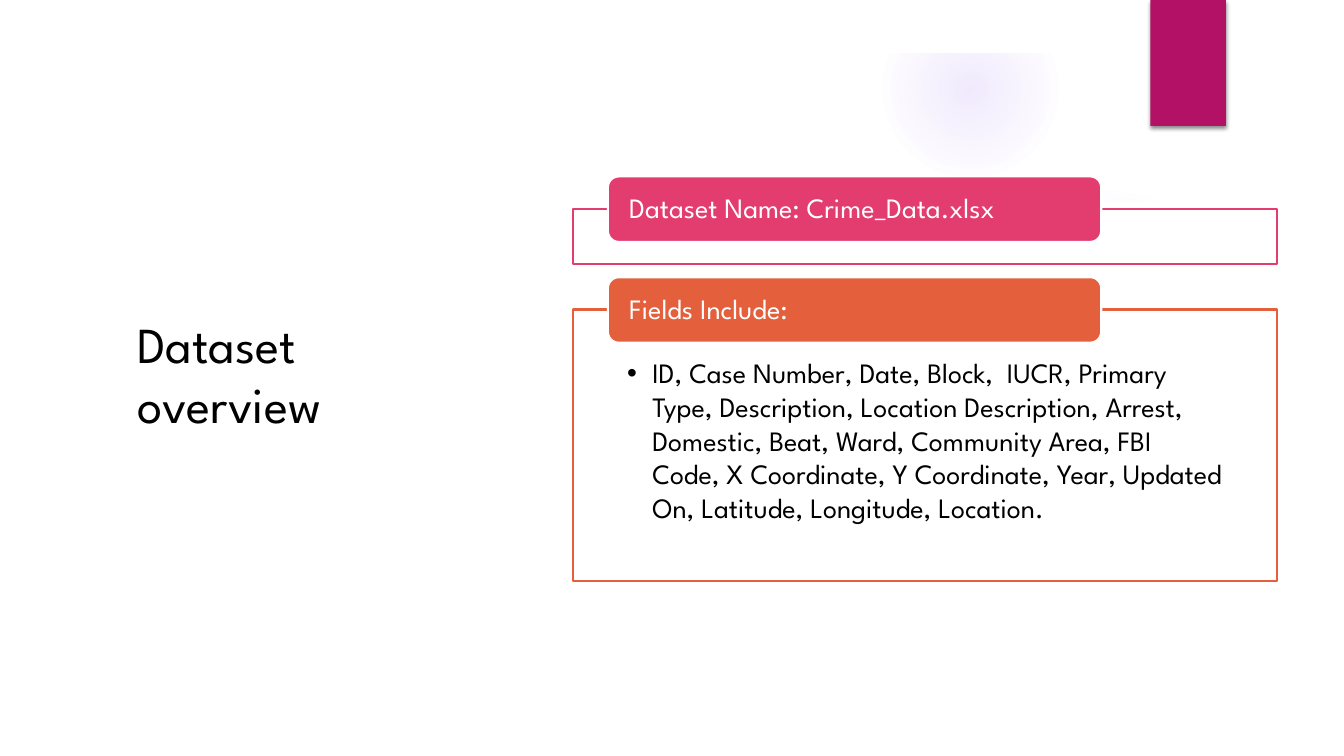
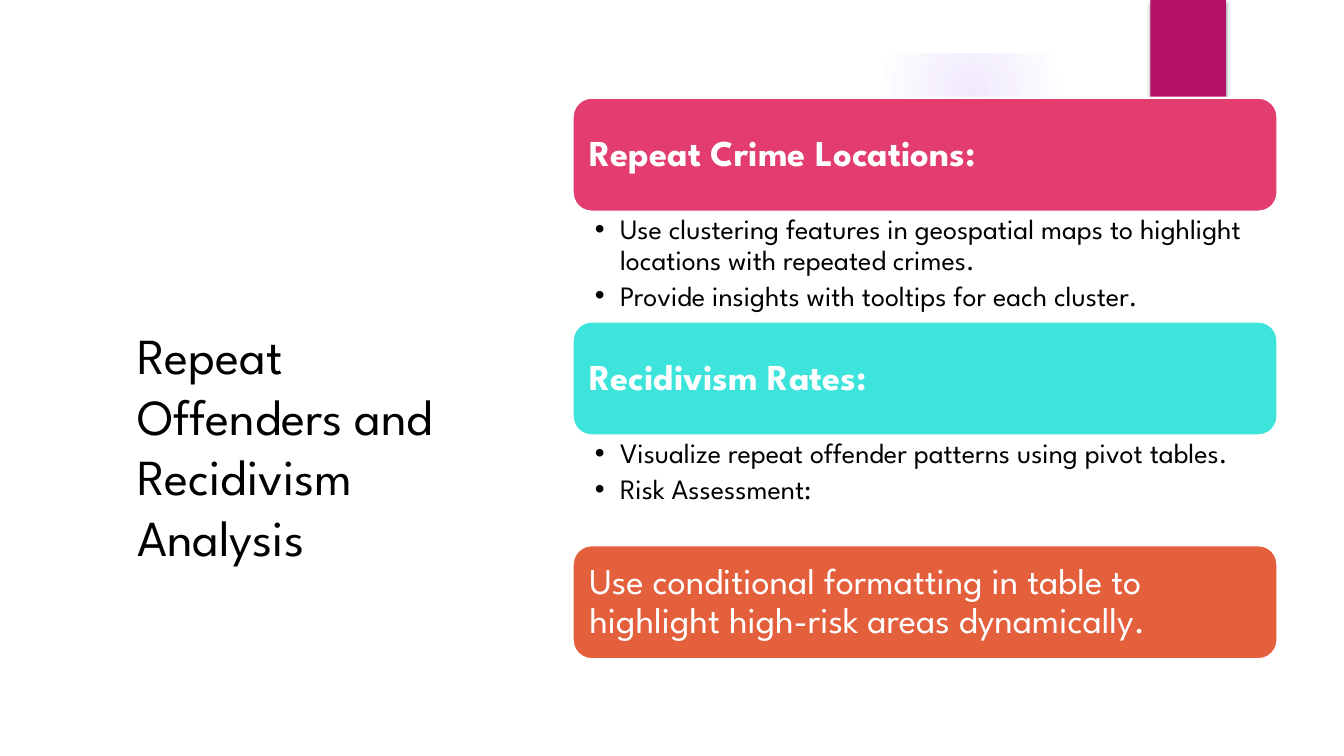
from lxml import etree
from pptx import Presentation
from pptx import util as u
from pptx.dml.color import RGBColor
from pptx.enum import shapes, text
from pptx.oxml.ns import qn

WIDTH, HEIGHT = 13.33, 7.5
FONT = "League Spartan"
WHITE, BLACK, PINK, ORANGE, TEAL = "FFFFFF", "000000", "E33D6F", "E45F3C", "3CE4DC"
GLOW, RIBBON = "9B6BF2", "B31166"
# Column shared by the content of both slides: left edge and width
COLUMN_LEFT, COLUMN_WIDTH = 5.68, 6.99
RECT, ROUND = shapes.MSO_SHAPE.RECTANGLE, shapes.MSO_SHAPE.ROUNDED_RECTANGLE


def colour(value):
    return RGBColor.from_string(value)


def add_child(parent, tag, **attributes):
    child = etree.SubElement(parent, qn(tag))
    for name, value in attributes.items():
        child.set(name, str(value))
    return child


def set_alpha(box, percent):
    tint = box.element.spPr.find(qn("a:solidFill"))[0]
    add_child(tint, "a:alpha", val=percent * 1000)


def paint(box, fill, line=None):
    box.shadow.inherit = False
    box.fill.solid()
    box.fill.fore_color.rgb = colour(fill)
    if line:
        box.line.color.rgb = colour(line)
        box.line.width = u.Pt(1.5)
    else:
        box.line.fill.background()


def place(box, area):
    box.left, box.top, box.width, box.height = [u.Inches(value) for value in area]


def add_box(page, kind, area, fill, line=None):
    box = page.shapes.add_shape(kind, *[u.Inches(value) for value in area])
    paint(box, fill, line)
    return box


def write(box, lines, size, tint, insets, anchor, spacing=1.0, bold=False, bullets=False):
    frame = box.text_frame
    frame.word_wrap = True
    frame.auto_size = text.MSO_AUTO_SIZE.NONE
    frame.vertical_anchor = anchor
    (frame.margin_left, frame.margin_top,
     frame.margin_right, frame.margin_bottom) = [u.Inches(value) for value in insets]
    frame.text = "\n".join(lines)
    for para in frame.paragraphs:
        para.alignment = text.PP_ALIGN.LEFT
        para.line_spacing = spacing
        para.space_before = u.Pt(0)
        para.font.name = FONT
        para.font.size = u.Pt(size)
        para.font.bold = bold
        para.font.color.rgb = colour(tint)
        if bullets:
            para.space_after = u.Pt(4)
            properties = para._p.get_or_add_pPr()
            properties.set("marL", str(u.Inches(0.25)))
            properties.set("indent", str(-u.Inches(0.25)))


# Background shared through the slide master
def add_glow(page, area, stops):
    glow = add_box(page, shapes.MSO_SHAPE.OVAL, area, GLOW)
    solid = glow.element.spPr.find(qn("a:solidFill"))
    gradient = etree.Element(qn("a:gradFill"))
    stop_list = add_child(gradient, "a:gsLst")
    for position, alpha in stops:
        stop = add_child(stop_list, "a:gs", pos=position * 1000)
        tint = add_child(stop, "a:srgbClr", val=GLOW)
        add_child(tint, "a:alpha", val=alpha * 1000)
    circle = etree.SubElement(gradient, qn("a:path"))
    circle.set("path", "circle")
    add_child(circle, "a:fillToRect", l=50000, t=50000, r=50000, b=50000)
    solid.getparent().replace(solid, gradient)
    return glow


def add_sheet(page):
    edge = [(0.5, 2.04), (1.59, 2.18), (2.83, 2.3), (4.44, 2.41), (6.07, 2.47),
            (7.6, 2.47), (9.21, 2.42), (10.6, 2.32), (11.72, 2.2), (12.84, 2.04)]
    outline = page.shapes.build_freeform(0.5, 7, u.Inches(1))
    outline.add_line_segments(edge + [(12.84, 7)], close=True)
    sheet = outline.convert_to_shape()
    paint(sheet, WHITE)
    return sheet


def add_ribbon(page):
    ribbon = add_box(page, RECT, (11.41, 0, 0.75, HEIGHT / 6), RIBBON)
    effects = ribbon.element.spPr.find(qn("a:effectLst"))
    shadow = add_child(effects, "a:outerShdw", blurRad=u.Pt(3), dist=u.Pt(2),
                       dir=5400000, algn="t", rotWithShape=0)
    add_child(add_child(shadow, "a:srgbClr", val=BLACK), "a:alpha", val=45000)
    return ribbon


def add_background(deck, page):
    large = add_glow(page, (9.41, 1.83, 3.08, 3.08), [(0, 7), (36, 6), (69, 0)])
    small = add_glow(page, (8.75, 0.01, 1.75, 1.75), [(0, 14), (36, 7), (73, 0)])
    sheet = add_sheet(page)
    border = add_box(page, shapes.MSO_SHAPE.FRAME, (0, 0, WIDTH, HEIGHT), WHITE)
    border.adjustments[0] = 0.07
    parts = [large, small, sheet, border, add_ribbon(page)]
    for number, part in enumerate(parts, 101):
        part.element.nvSpPr.cNvPr.set("id", str(number))
        deck.slide_master.shapes.element.append(part.element)


def add_title(page, words, top, height):
    title = page.shapes.title
    place(title, (1.26, top, 3.22, height))
    write(title, [words], 36, BLACK, (0.1, 0.05, 0.1, 0.05), text.MSO_ANCHOR.MIDDLE)


# Outlined card with a coloured tab over its upper edge
def add_card(page, area, heading, tint, body=None):
    left, top, width, height = area
    if body is None:
        add_box(page, RECT, area, WHITE, tint)
    else:
        place(body, area)
        paint(body, WHITE, tint)
        set_alpha(body, 90)
    tab = add_box(page, ROUND, (left + 0.05 * width, top - 0.32, 0.7 * width, 0.65),
                  tint, WHITE)
    write(tab, [heading], 20, WHITE, (0.18, 0, 0.18, 0), text.MSO_ANCHOR.MIDDLE, 0.9)


def build_dataset(page):
    add_title(page, "Dataset overview", 1.06, 5.29)
    add_card(page, (COLUMN_LEFT, 2.07, COLUMN_WIDTH, 0.55),
             "Dataset Name: Crime_Data.xlsx", PINK)
    fields = page.placeholders[1]
    write(fields, ["ID, Case Number, Date, Block,  IUCR, Primary Type, Description, "
                   "Location Description, Arrest, Domestic, Beat, Ward, Community Area, "
                   "FBI Code, X Coordinate, Y Coordinate, Year, Updated On, Latitude, "
                   "Longitude, Location."],
          20, BLACK, (0.54, 0.46, 0.54, 0.16), text.MSO_ANCHOR.TOP, bullets=True)
    add_card(page, (COLUMN_LEFT, 3.07, COLUMN_WIDTH, 2.69), "Fields Include:", ORANGE, fields)


# Stack of coloured bars, each followed by an optional list
def build_offenders(page):
    add_title(page, "Repeat Offenders and Recidivism Analysis", 2.49, 3.86)
    top, bar_height, list_height = 0.97, 1.13, 1.09
    sections = [
        ("Repeat Crime Locations:", PINK,
         ["Use clustering features in geospatial maps to highlight locations "
          "with repeated crimes.",
          "Provide insights with tooltips for each cluster."]),
        ("Recidivism Rates:", TEAL,
         ["Visualize repeat offender patterns using pivot tables.", "Risk Assessment:"]),
        ("Use conditional formatting in table to highlight high-risk areas dynamically.",
         ORANGE, []),
    ]
    for index, (heading, tint, points) in enumerate(sections):
        bar_top = top + index * (bar_height + list_height)
        bar = add_box(page, ROUND, (COLUMN_LEFT, bar_top, COLUMN_WIDTH, bar_height),
                      tint, WHITE)
        write(bar, [heading], 26, WHITE, [0.11] * 4, text.MSO_ANCHOR.MIDDLE, 0.9,
              bold=bool(points))
        if points:
            body = page.placeholders[index + 1]
            place(body, (COLUMN_LEFT, bar_top + bar_height, COLUMN_WIDTH, list_height))
            write(body, points, 20, BLACK, (0.22, 0.04, 0.2, 0.04),
                  text.MSO_ANCHOR.TOP, 0.9, bullets=True)


def main():
    deck = Presentation()
    deck.slide_width, deck.slide_height = u.Inches(WIDTH), u.Inches(HEIGHT)
    one_list, two_lists = deck.slide_layouts[1], deck.slide_layouts[3]
    dataset = deck.slides.add_slide(one_list)
    add_background(deck, dataset)
    build_dataset(dataset)
    build_offenders(deck.slides.add_slide(two_lists))
    deck.save("out.pptx")


if __name__ == "__main__":
    main()
